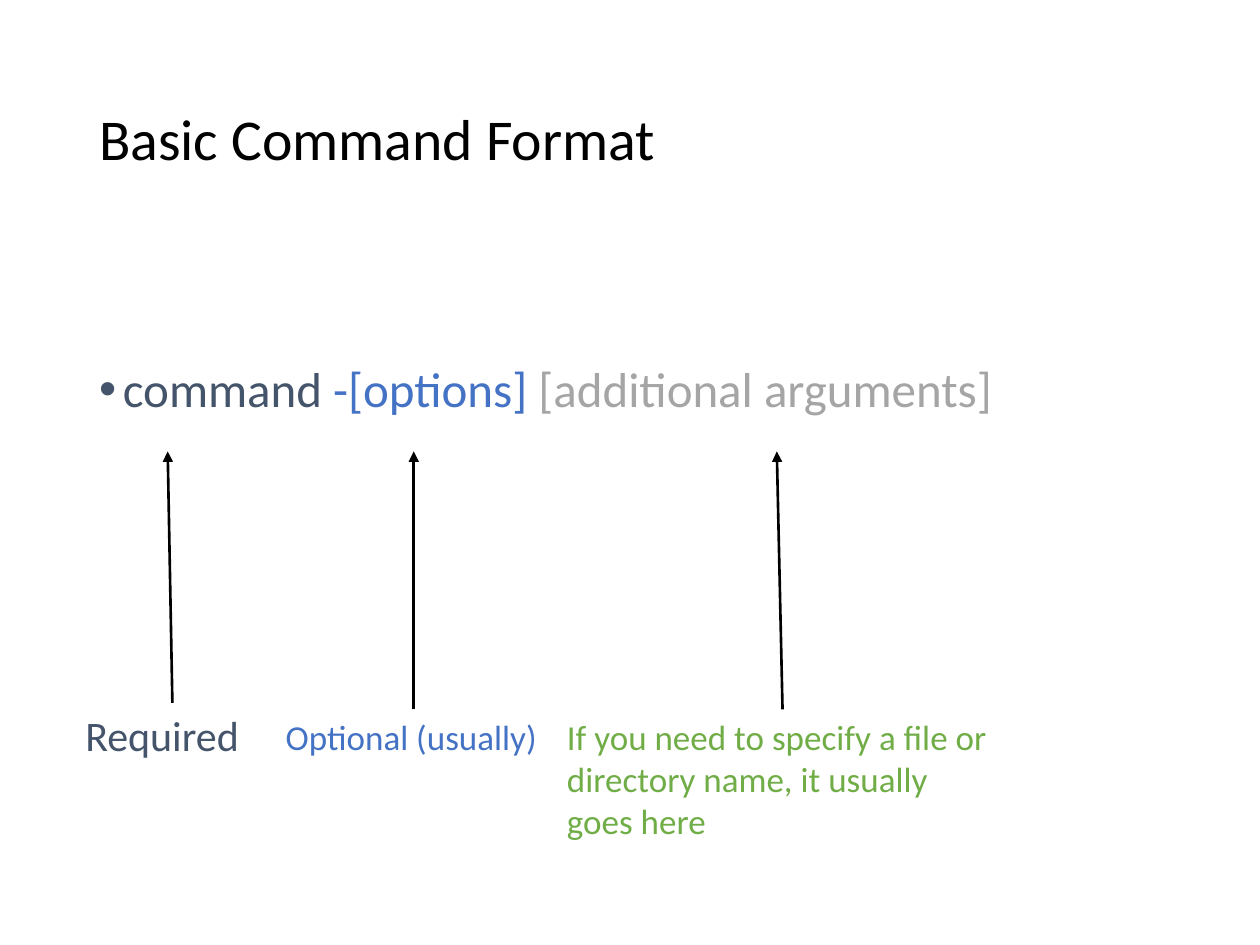
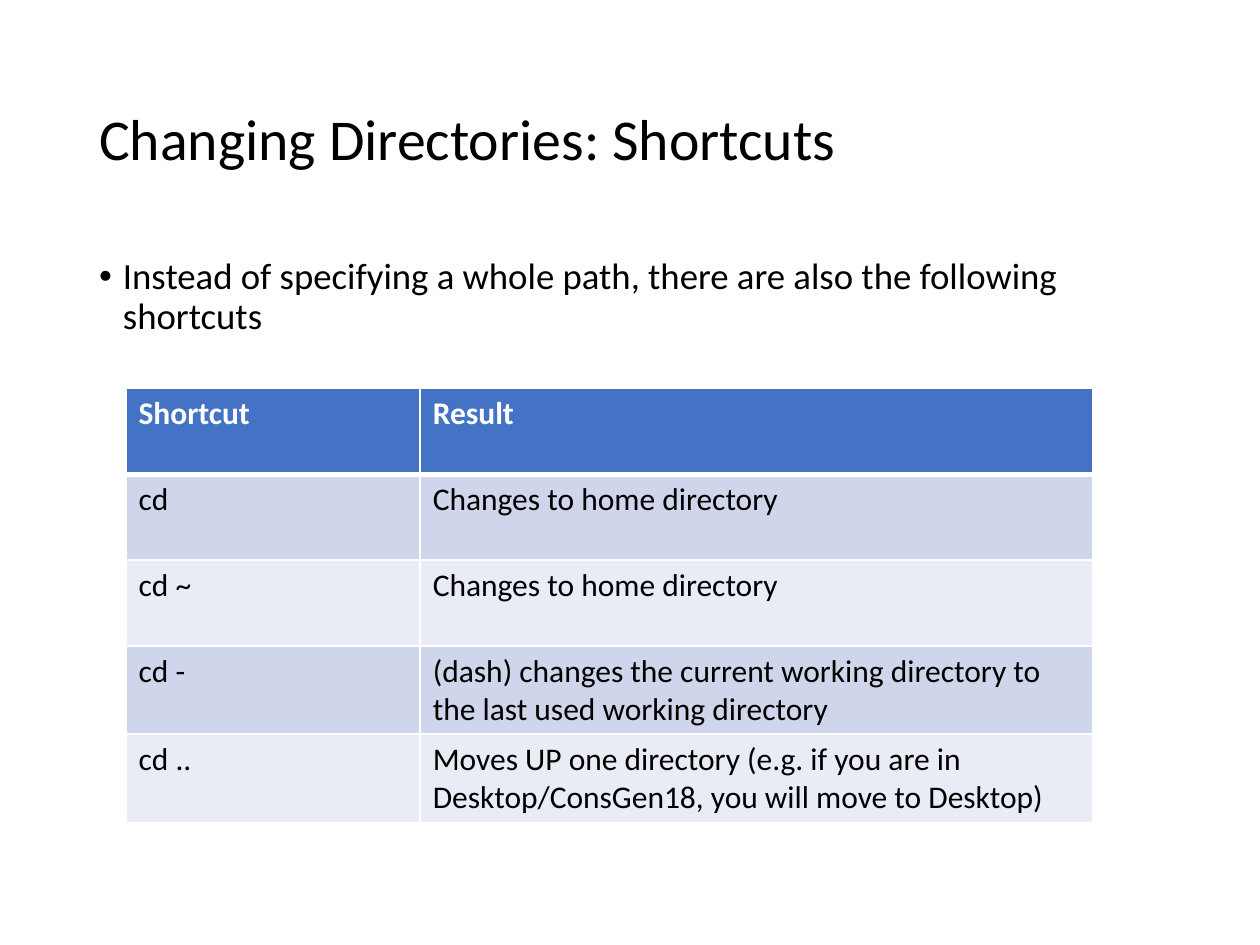
from dataclasses import dataclass

from pptx import Presentation, util as u
from pptx.dml.color import RGBColor
from pptx.enum import shapes, text
from pptx.oxml.ns import qn
from lxml import etree


@dataclass(frozen=True)
class Theme:
    font: str = "Calibri"
    black: str = "000000"
    white: str = "FFFFFF"
    slate: str = "44546A"
    blue: str = "4472C4"
    gray: str = "A5A5A5"
    green: str = "70AD47"
    bands: tuple = ("CFD5EA", "E9EBF5")
    title: float = 33
    syntax: float = 28
    body: float = 21
    cell: float = 18


T = Theme()

# Content
FORMAT = "Basic Command Format"
SYNTAX = [
    ("command ", T.slate),
    ("-[options] ", T.blue),
    ("[additional arguments]", T.gray),
]
# words, size, colour, box in cm, x of the arrow tip
LABELS = [
    ("Required", 24, T.slate, (1.47, 14.17, 4.01, 1.27), 3.38),
    ("Optional (usually)", 20, T.blue, (5.51, 14.3, 5.66, 1.12), 8.34),
    ("If you need to specify a file or directory name, it usually goes here",
     20, T.green, (11.18, 14.3, 9.19, 2.82), 15.66),
]
TIP = 9.1

SHORTCUTS = "Changing Directories: Shortcuts"
INTRO = [("Instead of specifying a whole path, there are also the following shortcuts",
          T.black)]
ROWS = [
    ("Shortcut", "Result"),
    ("cd", "Changes to home directory"),
    ("cd ~", "Changes to home directory"),
    ("cd -", "(dash) changes the current working directory to the last used working directory"),
    ("cd ..", "Moves UP one directory (e.g. if you are in Desktop/ConsGen18, you will move to Desktop)"),
]

# Layout, in cm
LEFT, WIDTH = 1.75, 21.9
HEAD = (LEFT, 1.02, WIDTH, 3.68)
BASE = 17.17
GRID = (2.54, 7.83)
COLS = (5.93, 13.55)
ROW = 1.73


def color(code):
    return RGBColor.from_string(code)


def add_run(para, words, size, code, bold=False):
    run = para.add_run()
    run.text = words
    font = run.font
    font.name, font.size, font.bold = T.font, u.Pt(size), bold
    font.color.rgb = color(code)


def add_box(slide, area):
    box = slide.shapes.add_textbox(*map(u.Cm, area))
    box.text_frame.word_wrap = True
    return box, box.text_frame.paragraphs[0]


def add_title(slide, words):
    box, para = add_box(slide, HEAD)
    box.text_frame.vertical_anchor = text.MSO_ANCHOR.MIDDLE
    para.line_spacing = 0.9
    add_run(para, words, T.title, T.black)


def add_bullet(slide, top, runs, size):
    _, para = add_box(slide, (LEFT, top, WIDTH, BASE - top))
    para.line_spacing, para.space_before = 0.9, u.Pt(7.5)
    props = para._p.get_or_add_pPr()
    props.set("marL", str(u.Cm(0.48)))
    props.set("indent", str(-u.Cm(0.48)))
    etree.SubElement(props, qn("a:buFont"), typeface="Arial")
    etree.SubElement(props, qn("a:buChar"), char="•")
    for words, code in runs:
        add_run(para, words, size, code)


def add_arrow(slide, box, tip):
    """Point from the middle of the box's top up to the tip."""
    line = slide.shapes.add_connector(
        shapes.MSO_CONNECTOR.STRAIGHT, box.left, box.top, u.Cm(tip), u.Cm(TIP))
    line.begin_connect(box, 0)
    line.line.color.rgb = color(T.black)
    line.line.width = u.Pt(1.5)
    etree.SubElement(line.line._get_or_add_ln(), qn("a:tailEnd"), type="triangle")
    etree.SubElement(line._element.spPr, qn("a:effectLst"))


def set_edges(cell, top, bottom):
    props = cell._tc.get_or_add_tcPr()
    for spot, (side, width) in enumerate(
            (("L", 1), ("R", 1), ("T", top), ("B", bottom))):
        edge = etree.Element(qn(f"a:ln{side}"), w=str(u.Pt(width)))
        fill = etree.SubElement(edge, qn("a:solidFill"))
        etree.SubElement(fill, qn("a:srgbClr"), val=T.white)
        props.insert(spot, edge)


def add_grid(slide):
    size = sum(COLS), ROW * len(ROWS)
    grid = slide.shapes.add_table(
        len(ROWS), len(COLS), *map(u.Cm, GRID + size)).table
    for col, width in zip(grid.columns, COLS):
        col.width = u.Cm(width)
    for r, row in enumerate(ROWS):
        head = r == 0
        for c, words in enumerate(row):
            cell = grid.cell(r, c)
            cell.fill.solid()
            cell.fill.fore_color.rgb = color(T.blue if head else T.bands[(r - 1) % 2])
            set_edges(cell, 3 if r == 1 else 1, 3 if head else 1)
            add_run(cell.text_frame.paragraphs[0], words, T.cell,
                    T.white if head else T.black, head)


def main():
    deck = Presentation()
    deck.slide_width, deck.slide_height = u.Cm(25.4), u.Cm(19.05)
    blank = deck.slide_layouts[6]

    slide = deck.slides.add_slide(blank)
    add_title(slide, FORMAT)
    add_bullet(slide, 7.24, SYNTAX, T.syntax)
    for words, size, code, area, tip in LABELS:
        box, para = add_box(slide, area)
        add_run(para, words, size, code)
        add_arrow(slide, box, tip)

    slide = deck.slides.add_slide(blank)
    add_title(slide, SHORTCUTS)
    add_bullet(slide, 5.08, INTRO, T.body)
    add_grid(slide)

    deck.save("out.pptx")


if __name__ == "__main__":
    main()
